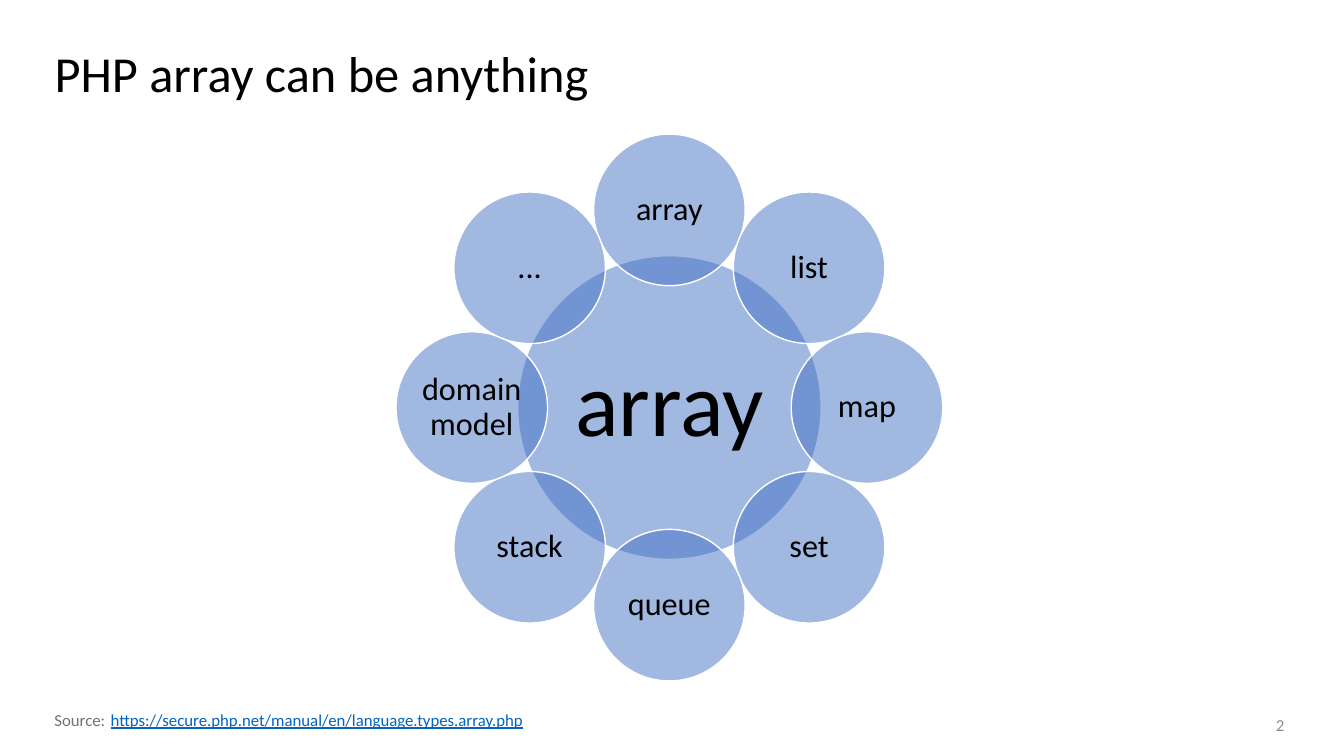
from math import cos, radians, sin

from lxml.etree import SubElement
from pptx import Presentation
from pptx.dml.color import RGBColor
from pptx.enum.shapes import MSO_SHAPE
from pptx.enum.text import MSO_ANCHOR, MSO_AUTO_SIZE, PP_ALIGN
from pptx.oxml.ns import qn
from pptx.util import Cm, Pt

TITLE = "PHP array can be anything"
HUB = "array"
PETALS = ["array", "list", "map", "set", "queue", "stack", "domain model", "..."]
SOURCE_LABEL = "Source:"
SOURCE_ADDRESS = "https://secure.php.net/manual/en/language.types.array.php"
PAGE_NUMBER = "2"

BLACK = RGBColor(0x00, 0x00, 0x00)
WHITE = RGBColor(0xFF, 0xFF, 0xFF)
BLUE = RGBColor(0x44, 0x72, 0xC4)
LINK_BLUE = RGBColor(0x05, 0x63, 0xC1)
SOURCE_GREY = RGBColor(0x76, 0x71, 0x71)
NUMBER_GREY = RGBColor(0x8C, 0x8C, 0x8C)

CENTER_X, CENTER_Y = 16.87, 10.27
RING_RADIUS = 4.98
HUB_DIAMETER, PETAL_DIAMETER = 7.65, 3.82
FOOTER_TOP = 17.75


def write(shape, text, size=12, color=BLACK, align=PP_ALIGN.LEFT, anchor=MSO_ANCHOR.MIDDLE,
          spacing=1.0, wrap=True, underline=False, inset=None):
    frame = shape.text_frame
    frame.auto_size = MSO_AUTO_SIZE.NONE
    frame.word_wrap = wrap
    frame.vertical_anchor = anchor
    if inset is not None:
        frame.margin_left = frame.margin_right = Cm(inset)
        frame.margin_top = frame.margin_bottom = Cm(inset)
    para = frame.paragraphs[0]
    para.alignment = align
    para.line_spacing = spacing
    span = para.add_run()
    span.text = text
    span.font.name = "Calibri"
    span.font.size = Pt(size)
    span.font.color.rgb = color
    span.font.underline = underline


def add_circle(group, text, center_x, center_y, diameter, size, inset):
    circle = group.shapes.add_shape(
        MSO_SHAPE.OVAL, Cm(center_x - diameter / 2), Cm(center_y - diameter / 2),
        Cm(diameter), Cm(diameter))
    circle.shadow.inherit = False
    circle.fill.solid()
    circle.fill.fore_color.rgb = BLUE
    fill_color = circle.fill._xPr.find(qn("a:solidFill")).find(qn("a:srgbClr"))
    SubElement(fill_color, qn("a:alpha")).set("val", "50000")
    circle.line.color.rgb = WHITE
    circle.line.width = Pt(1)
    write(circle, text, size=size, align=PP_ALIGN.CENTER, spacing=0.9, inset=inset)


def add_footer(page, text, left, width, height, **style):
    box = page.shapes.add_textbox(Cm(left), Cm(FOOTER_TOP), Cm(width), Cm(height))
    write(box, text, **style)


deck = Presentation()
deck.slide_width, deck.slide_height = Cm(33.87), Cm(19.05)
page = deck.slides.add_slide(deck.slide_layouts[5])

title = page.shapes.title
title.left, title.top, title.width, title.height = Cm(1.12), Cm(1.02), Cm(31.52), Cm(1.78)
write(title, TITLE, size=36, spacing=0.9)

flower = page.shapes.add_group_shape()
add_circle(flower, HUB, CENTER_X, CENTER_Y, HUB_DIAMETER, 65, 0.23)
for index, name in enumerate(PETALS):
    angle = radians(360 / len(PETALS) * index - 90)
    add_circle(flower, name, CENTER_X + RING_RADIUS * cos(angle),
               CENTER_Y + RING_RADIUS * sin(angle), PETAL_DIAMETER, 23, 0.08)

add_footer(page, SOURCE_LABEL, 1.12, 1.8, 0.77, color=SOURCE_GREY,
           anchor=MSO_ANCHOR.TOP, wrap=False)
add_footer(page, SOURCE_ADDRESS, 2.54, 11, 0.77, color=LINK_BLUE,
           anchor=MSO_ANCHOR.TOP, wrap=False, underline=True)
add_footer(page, PAGE_NUMBER, 25, 7.62, 1.01, color=NUMBER_GREY, align=PP_ALIGN.RIGHT)

deck.save("out.pptx")
